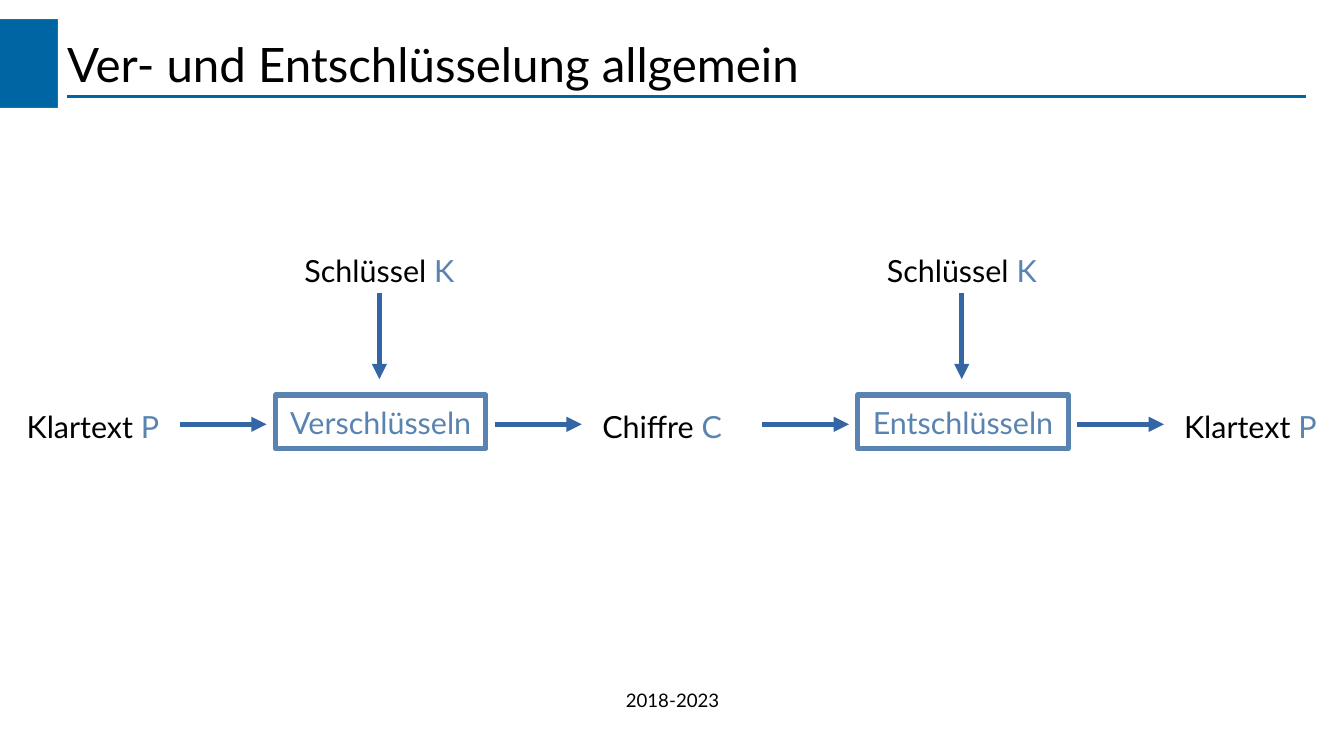
from lxml.etree import SubElement
from pptx import Presentation
from pptx.dml.color import RGBColor
from pptx.enum.shapes import MSO_CONNECTOR, MSO_SHAPE
from pptx.enum.text import MSO_ANCHOR, PP_ALIGN
from pptx.oxml.ns import qn
from pptx.util import Pt

COLORS = {"text": "000000", "accent": "0065A3", "arrow": "3465A4", "process": "5983B0"}
ROW_Y = 250.56
STAGE_STEP = 343.8

deck = Presentation()
deck.slide_width, deck.slide_height = Pt(793.44), Pt(446.4)
page = deck.slides.add_slide(deck.slide_layouts[6])


def write(shape, runs, size, align=PP_ALIGN.LEFT, anchor=MSO_ANCHOR.TOP, inset=(0, 0), wrap=True):
    """Fill a shape with one paragraph made of (text, colour name) runs."""
    frame = shape.text_frame
    frame.word_wrap = wrap
    frame.vertical_anchor = anchor
    frame.margin_left = frame.margin_right = Pt(inset[0])
    frame.margin_top = frame.margin_bottom = Pt(inset[1])
    para = frame.paragraphs[0]
    para.alignment = align
    for text, color in runs:
        span = para.add_run()
        span.text = text
        span.font.name = "Lato"
        span.font.size = Pt(size)
        span.font.color.rgb = RGBColor.from_string(COLORS[color])


def draw_line(start, end, color, width, arrow=False):
    line = page.shapes.add_connector(MSO_CONNECTOR.STRAIGHT, *map(Pt, start + end))
    line.line.color.rgb = RGBColor.from_string(COLORS[color])
    line.line.width = Pt(width)
    if arrow:
        SubElement(line.line._get_or_add_ln(), qn("a:tailEnd"), type="triangle")
    SubElement(line._element.spPr, qn("a:effectLst"))


# Header
marker = page.shapes.add_shape(MSO_SHAPE.RECTANGLE, Pt(-5.76), Pt(11.52), Pt(39.6), Pt(51.84))
marker.shadow.inherit = False
marker.fill.solid()
marker.fill.fore_color.rgb = RGBColor.from_string(COLORS["accent"])
marker.line.color.rgb = RGBColor.from_string(COLORS["arrow"])
marker.line.width = Pt(0)
draw_line((39.6, 57.1), (771.1, 57.1), "accent", 0)
title = page.shapes.add_textbox(Pt(39.6), Pt(18), Pt(714.24), Pt(38.88))
write(title, [("Ver- und Entschlüsselung allgemein", "text")], 28, anchor=MSO_ANCHOR.MIDDLE)

# The two stages: process box, key arrow from above, arrows in and out
for stage, process in enumerate(["Verschlüsseln", "Entschlüsseln"]):
    shift = stage * STAGE_STEP
    box = page.shapes.add_shape(
        MSO_SHAPE.RECTANGLE, Pt(162.6 + shift), Pt(233.28), Pt(124.3), Pt(31.68))
    box.shadow.inherit = False
    box.fill.background()
    box.line.color.rgb = RGBColor.from_string(COLORS["process"])
    box.line.width = Pt(3)
    write(box, [(process, "process")], 18, PP_ALIGN.CENTER, MSO_ANCHOR.MIDDLE, (8.64, 5), False)
    draw_line((224 + shift, 172.8), (224 + shift, 223.9), "arrow", 3, arrow=True)
    for arrow_x in (106.3, 292.3):
        draw_line((arrow_x + shift, ROW_Y), (arrow_x + shift + 51.1, ROW_Y), "arrow", 3, arrow=True)

# Labels: left, top, width, word, symbol
labels = [
    (172.7, 145.44, 103, "Schlüssel ", "K"),
    (172.7 + STAGE_STEP, 145.44, 103, "Schlüssel ", "K"),
    (8.64, 237.6, 92.9, "Klartext ", "P"),
    (348.5, 237.6, 85, "Chiffre ", "C"),
    (691.9, 237.6, 92.9, "Klartext ", "P"),
]
for left, top, width, word, symbol in labels:
    label = page.shapes.add_textbox(Pt(left), Pt(top), Pt(width), Pt(28.8))
    write(label, [(word, "text"), (symbol, "process")], 18, inset=(7.2, 3.6), wrap=False)

footer = page.shapes.add_textbox(Pt(271.44), Pt(406.8), Pt(251.28), Pt(30.96))
write(footer, [("2018-2023", "text")], 11, PP_ALIGN.CENTER)

deck.save("out.pptx")
